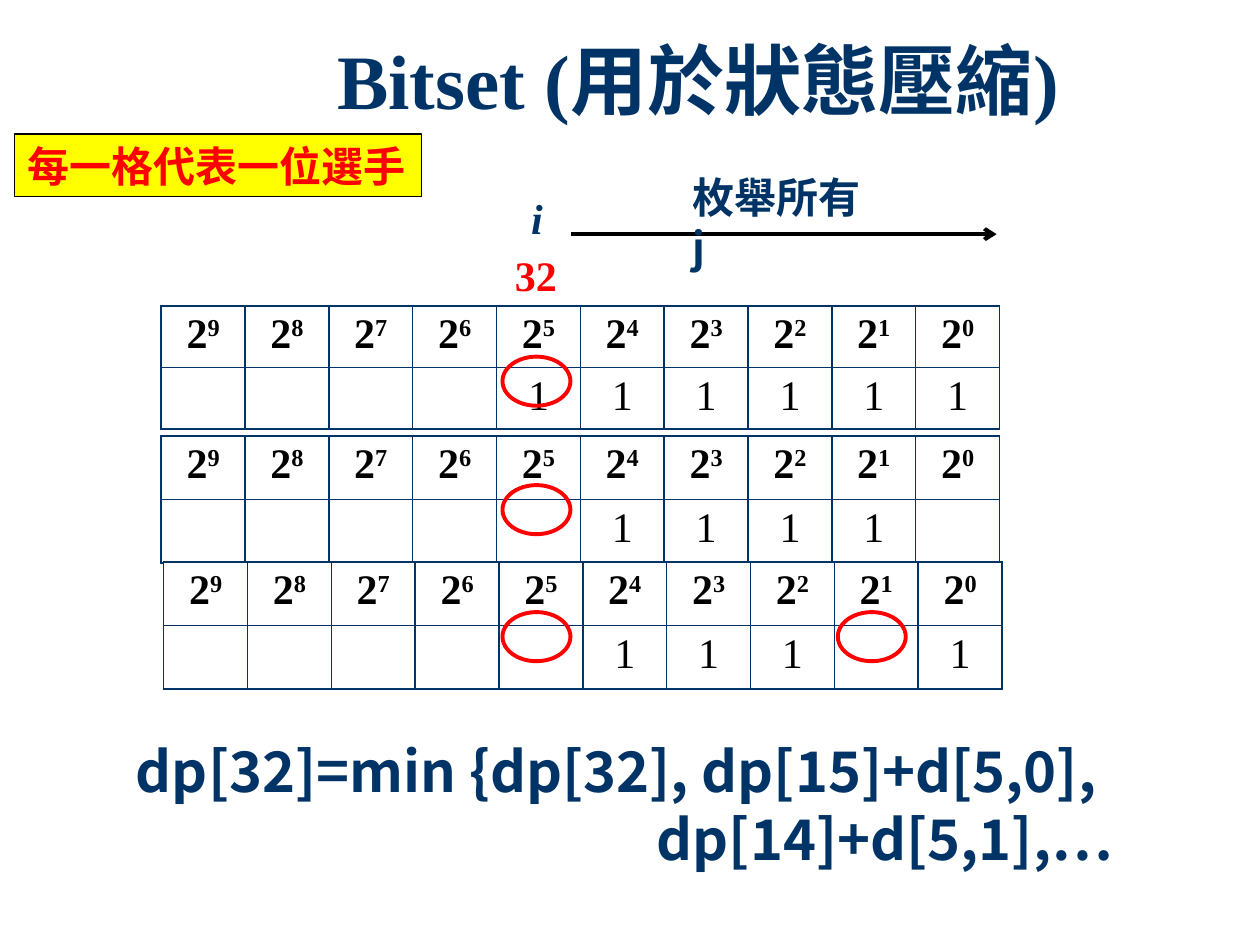
from lxml import etree
from pptx import Presentation
from pptx.dml.color import RGBColor
from pptx.enum import shapes as sh, text as tx
from pptx.oxml.ns import qn
from pptx.util import Cm, Pt

NAVY = RGBColor(0x00, 0x33, 0x66)
RED = RGBColor(0xFF, 0x00, 0x00)
YELLOW = RGBColor(0xFF, 0xFF, 0x00)
BLACK = RGBColor(0x00, 0x00, 0x00)
WHITE = RGBColor(0xFF, 0xFF, 0xFF)
SERIF = "Times New Roman"
SANS = "Noto Sans CJK SC"
BITS = 10
CELL = 1.69
RING_W, RING_H = 1.37, 0.99

# left, top, row height, set bits, ringed bits, top of the rings
GRIDS = [
    (3.25, 6.17, 1.2, {5, 4, 3, 2, 1, 0}, [5], 7.19),
    (3.25, 8.79, 1.28, {4, 3, 2, 1}, [5], 9.78),
    (3.3, 11.33, 1.28, {4, 3, 2, 0}, [1, 5], 12.34),
]


def style(para, size, face, color, bold=True, italic=False):
    font = para.font
    font.size, font.name = Pt(size), face
    font.bold, font.italic = bold, italic
    font.color.rgb = color
    base = para._p.pPr.find(qn("a:defRPr"))
    etree.SubElement(base, qn("a:ea"), typeface=SANS)


def add_title(slide, words):
    title = slide.shapes.title
    title.left, title.top = Cm(3.91), Cm(0.53)
    title.width, title.height = Cm(20.32), Cm(2.34)
    frame = title.text_frame
    frame.text = words
    frame.vertical_anchor = tx.MSO_ANCHOR.MIDDLE
    para = frame.paragraphs[0]
    para.alignment = tx.PP_ALIGN.CENTER
    para.line_spacing = 0.9
    style(para, 44, SERIF, NAVY)


def add_label(slide, box, lines, size, face, color, italic=False, wrap=False):
    label = slide.shapes.add_textbox(*map(Cm, box))
    frame = label.text_frame
    frame.word_wrap = wrap
    frame.text = "\n".join(lines)
    for para in frame.paragraphs:
        style(para, size, face, color, italic=italic)
        if face == SANS:
            para.line_spacing = Pt(size * 1.2)
    return label


def edge(cell, color):
    """Draw a thin line on all four sides of a cell."""
    props = cell._tc.get_or_add_tcPr()
    for spot, side in enumerate(("lnL", "lnR", "lnT", "lnB")):
        line = etree.Element(qn(f"a:{side}"), w=str(Pt(1)))
        fill = etree.SubElement(line, qn("a:solidFill"))
        etree.SubElement(fill, qn("a:srgbClr"), val=str(color))
        props.insert(spot, line)


def add_grid(slide, left, top, height, ones):
    """Powers of two above a row that marks the set bits."""
    frame = slide.shapes.add_table(
        2, BITS, Cm(left), Cm(top), Cm(CELL * BITS), Cm(height * 2))
    table = frame.table
    table.first_row = table.horz_banding = False
    for row in table.rows:
        row.height = Cm(height)
    for col in table.columns:
        col.width = Cm(CELL)
    for cell in table.iter_cells():
        cell.fill.solid()
        cell.fill.fore_color.rgb = WHITE
        cell.margin_top = cell.margin_bottom = Cm(0.11)
        edge(cell, NAVY)
    for col in range(BITS):
        bit = BITS - 1 - col
        para = table.cell(0, col).text_frame.paragraphs[0]
        para.alignment = tx.PP_ALIGN.CENTER
        style(para, 24, SERIF, BLACK)
        para.add_run().text = "2"
        power = para.add_run()
        power.text = str(bit)
        power._r.get_or_add_rPr().set("baseline", "30000")
        if bit in ones:
            para = table.cell(1, col).text_frame.paragraphs[0]
            para.add_run().text = "1"
            para.alignment = tx.PP_ALIGN.CENTER
            style(para, 24, SERIF, BLACK, bold=False)


def add_ring(slide, bit, top):
    left = 10.13 + (5 - bit) * CELL
    ring = slide.shapes.add_shape(
        sh.MSO_SHAPE.OVAL, Cm(left), Cm(top), Cm(RING_W), Cm(RING_H))
    ring.shadow.inherit = False
    ring.fill.background()
    ring.line.color.rgb = RED
    ring.line.width = Pt(2.25)


def add_arrow(slide, start, end, level):
    arrow = slide.shapes.add_connector(
        sh.MSO_CONNECTOR.STRAIGHT, Cm(start), Cm(level), Cm(end), Cm(level))
    arrow.line.color.rgb = BLACK
    arrow.line.width = Pt(2.25)
    etree.SubElement(arrow.line._get_or_add_ln(), qn("a:tailEnd"), type="arrow")
    etree.SubElement(arrow._element.spPr, qn("a:effectLst"))


def main():
    deck = Presentation()
    deck.slide_width, deck.slide_height = Cm(25.4), Cm(19.05)
    slide = deck.slides.add_slide(deck.slide_layouts[5])
    add_title(slide, "Bitset (用於狀態壓縮)")

    note = add_label(slide, (0.3, 2.7, 8.2, 1.27), ["每一格代表一位選手"],
                     24, SANS, RED)
    note.text_frame.vertical_anchor = tx.MSO_ANCHOR.MIDDLE
    note.fill.solid()
    note.fill.fore_color.rgb = YELLOW
    note.line.color.rgb = BLACK
    note.line.width = Pt(0.75)

    add_label(slide, (10.13, 4.9, 1.37, 1.27), ["32"], 24, SERIF, RED)
    cost = add_label(slide, (2.49, 14.73, 21.03, 3),
                     ["dp[32]=min {dp[32], dp[15]+d[5,0],", "dp[14]+d[5,1],…"],
                     32, SANS, NAVY, wrap=True)
    cost.text_frame.paragraphs[1]._p.pPr.set("marL", str(Cm(10.5)))

    for left, top, height, ones, rings, level in GRIDS:
        add_grid(slide, left, top, height, ones)
        for bit in rings:
            add_ring(slide, bit, level)

    add_label(slide, (10.46, 3.76, 0.74, 1.27), ["i"], 24, SERIF, NAVY,
              italic=True)
    add_arrow(slide, 11.51, 20.09, 4.72)
    add_label(slide, (13.72, 3.33, 4.15, 1.27), ["枚舉所有 j"], 24, SANS, NAVY,
              wrap=True)
    deck.save("out.pptx")


if __name__ == "__main__":
    main()
